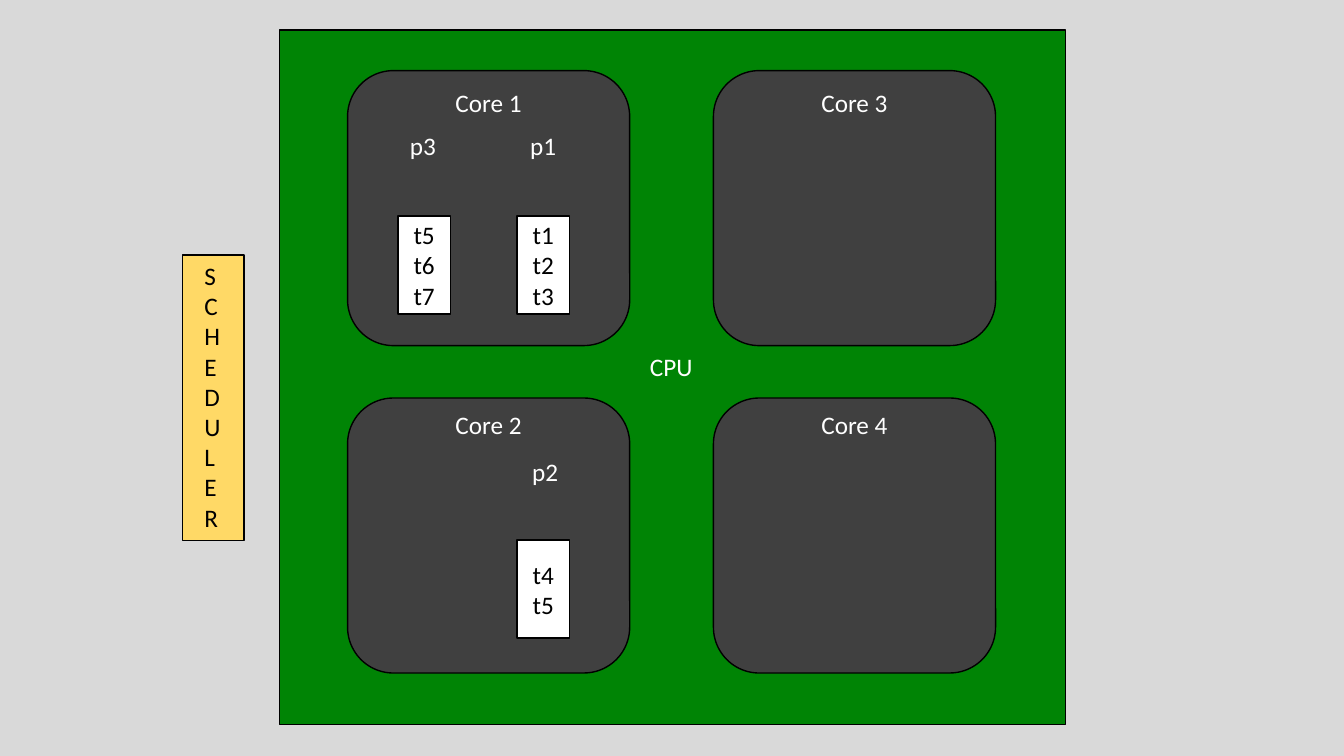
from pptx import Presentation
from pptx.dml.color import RGBColor
from pptx.enum.shapes import MSO_SHAPE as Shape
from pptx.enum.text import MSO_ANCHOR as Anchor, MSO_AUTO_SIZE as AutoSize, PP_ALIGN as Align
from pptx.util import Cm, Pt

COLOURS = {
    "background": "D9D9D9",
    "cpu": "008405",
    "core": "404040",
    "scheduler": "FFD966",
    "white": "FFFFFF",
    "black": "000000",
}
CORE_WIDTH, CORE_HEIGHT = 7.11, 6.93
CORE_LEFTS = (8.76, 17.98)
CORE_TOPS = (1.78, 10.03)
CORE_LABEL_TOPS = (2.08, 10.19)
LABEL_HEIGHT = 1.02

# name, label left, label top, queue left, queue top, threads
PROCESSES = [
    ("p1", 13.11, 3.15, 13.03, 5.44, ["t1", "t2", "t3"]),
    ("p2", 13.16, 11.38, 13.03, 13.61, ["t4", "t5"]),
    ("p3", 10.08, 3.15, 10.03, 5.44, ["t5", "t6", "t7"]),
]


def colour(name):
    return RGBColor.from_string(COLOURS[name])


def write_text(text_frame, lines, size=18, font="Calibri", color="white", align=Align.LEFT):
    for index, line in enumerate(lines):
        paragraph = text_frame.add_paragraph() if index else text_frame.paragraphs[0]
        paragraph.alignment = align
        run = paragraph.add_run()
        run.text = line
        run.font.size = Pt(size)
        run.font.name = font
        run.font.color.rgb = colour(color)


def add_box(slide, left, top, width, height, fill, kind=Shape.RECTANGLE):
    shape = slide.shapes.add_shape(kind, Cm(left), Cm(top), Cm(width), Cm(height))
    shape.shadow.inherit = False
    shape.fill.solid()
    shape.fill.fore_color.rgb = colour(fill)
    shape.line.color.rgb = colour("black")
    shape.line.width = Pt(1)
    return shape


def add_label(slide, lines, left, top, width, height=LABEL_HEIGHT, **text_format):
    text_box = slide.shapes.add_textbox(Cm(left), Cm(top), Cm(width), Cm(height))
    text_frame = text_box.text_frame
    text_frame.word_wrap = False
    text_frame.auto_size = AutoSize.SHAPE_TO_FIT_TEXT
    write_text(text_frame, lines, **text_format)


def add_cores(slide):
    """Place the four cores, numbered down each column."""
    number = 1
    for left in CORE_LEFTS:
        for top, label_top in zip(CORE_TOPS, CORE_LABEL_TOPS):
            add_box(slide, left, top, CORE_WIDTH, CORE_HEIGHT, "core", Shape.ROUNDED_RECTANGLE)
            add_label(slide, [f"Core {number}"], left + 2.47, label_top, 2.21)
            number += 1


def add_process(slide, name, label_left, label_top, queue_left, queue_top, threads):
    queue = add_box(slide, queue_left, queue_top, 1.32, 2.47, "white")
    queue.text_frame.vertical_anchor = Anchor.MIDDLE
    write_text(queue.text_frame, threads, color="black", align=Align.CENTER)
    add_label(slide, [name], label_left, label_top, 1.17)


def main():
    presentation = Presentation()
    presentation.slide_width = Cm(33.87)
    presentation.slide_height = Cm(19.05)
    slide = presentation.slides.add_slide(presentation.slide_layouts[6])
    slide.background.fill.solid()
    slide.background.fill.fore_color.rgb = colour("background")

    add_box(slide, 7.04, 0.76, 19.81, 17.5, "cpu")
    add_cores(slide)
    add_label(slide, ["CPU"], 16.13, 8.74, 1.6)
    add_box(slide, 4.6, 6.43, 1.55, 7.19, "scheduler")
    add_label(slide, "SCHEDULER", 4.9, 6.43, 0.91, 7.19, color="black")
    for process in PROCESSES:
        add_process(slide, *process)

    presentation.save("out.pptx")


if __name__ == "__main__":
    main()
